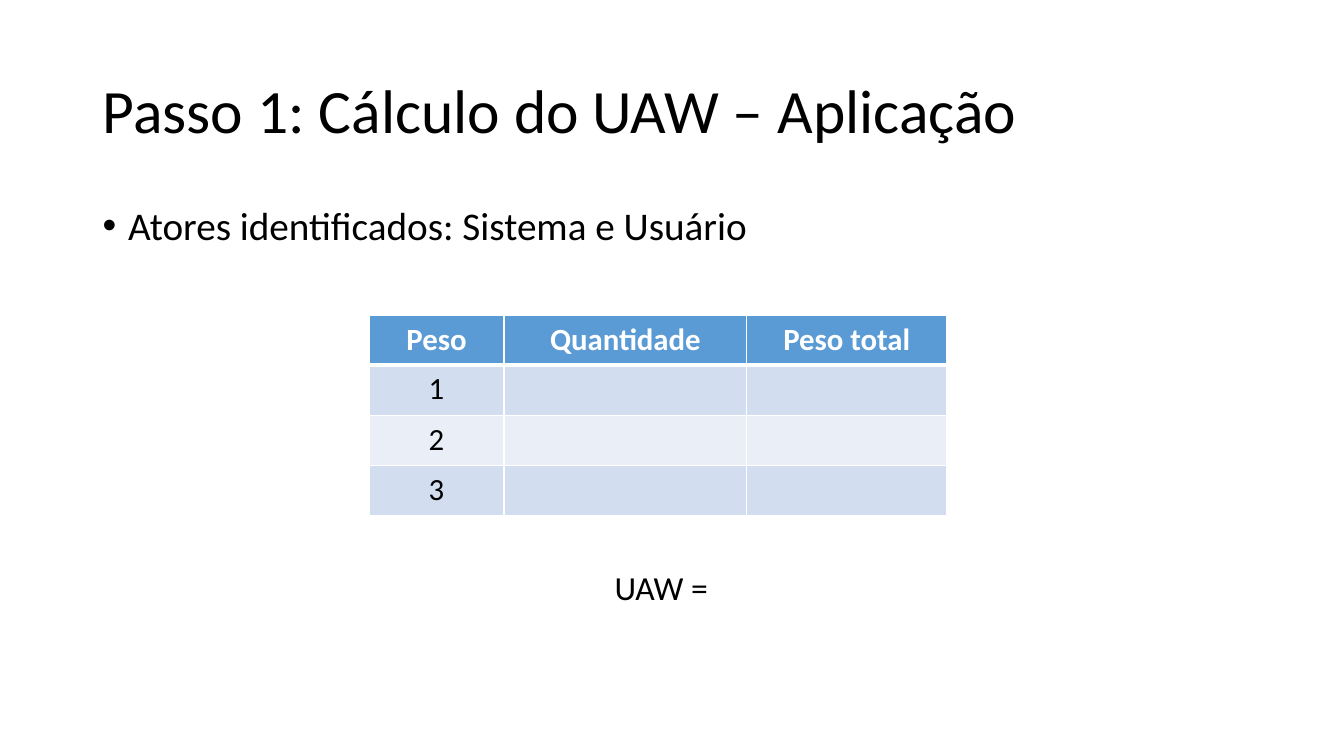
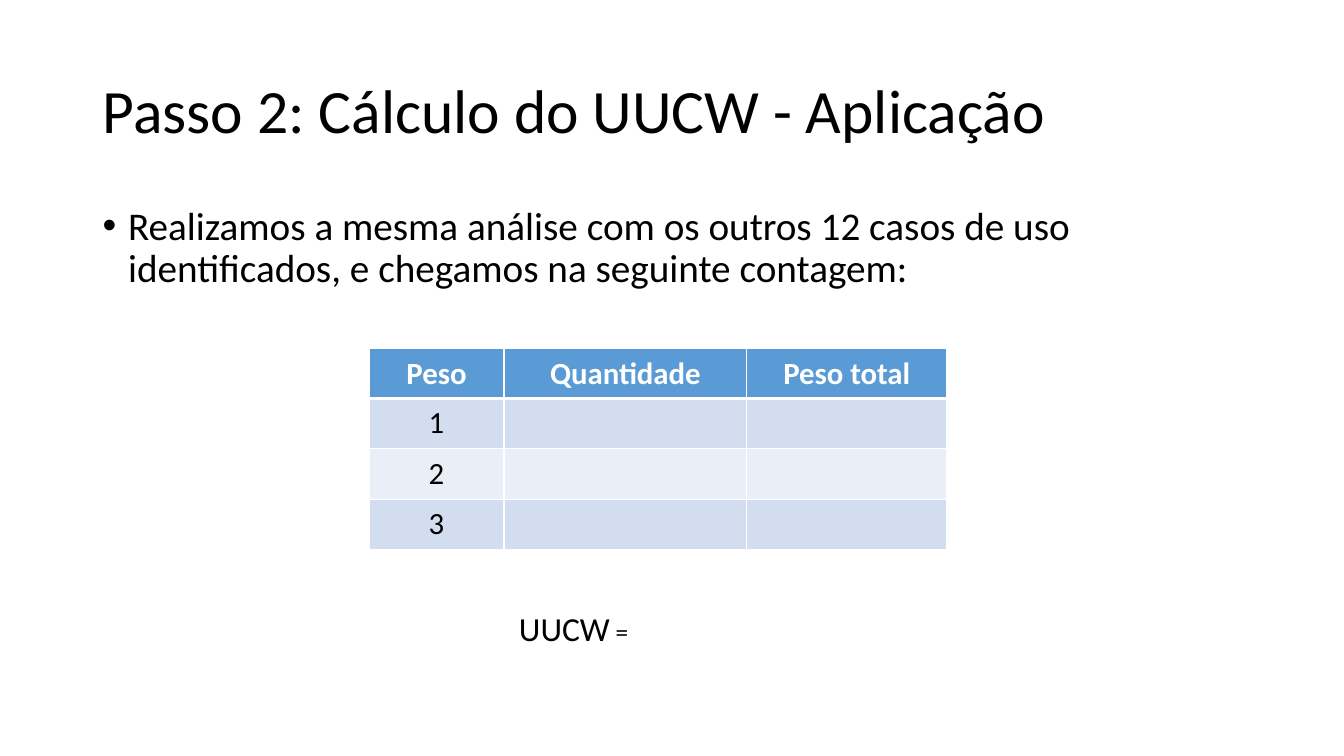
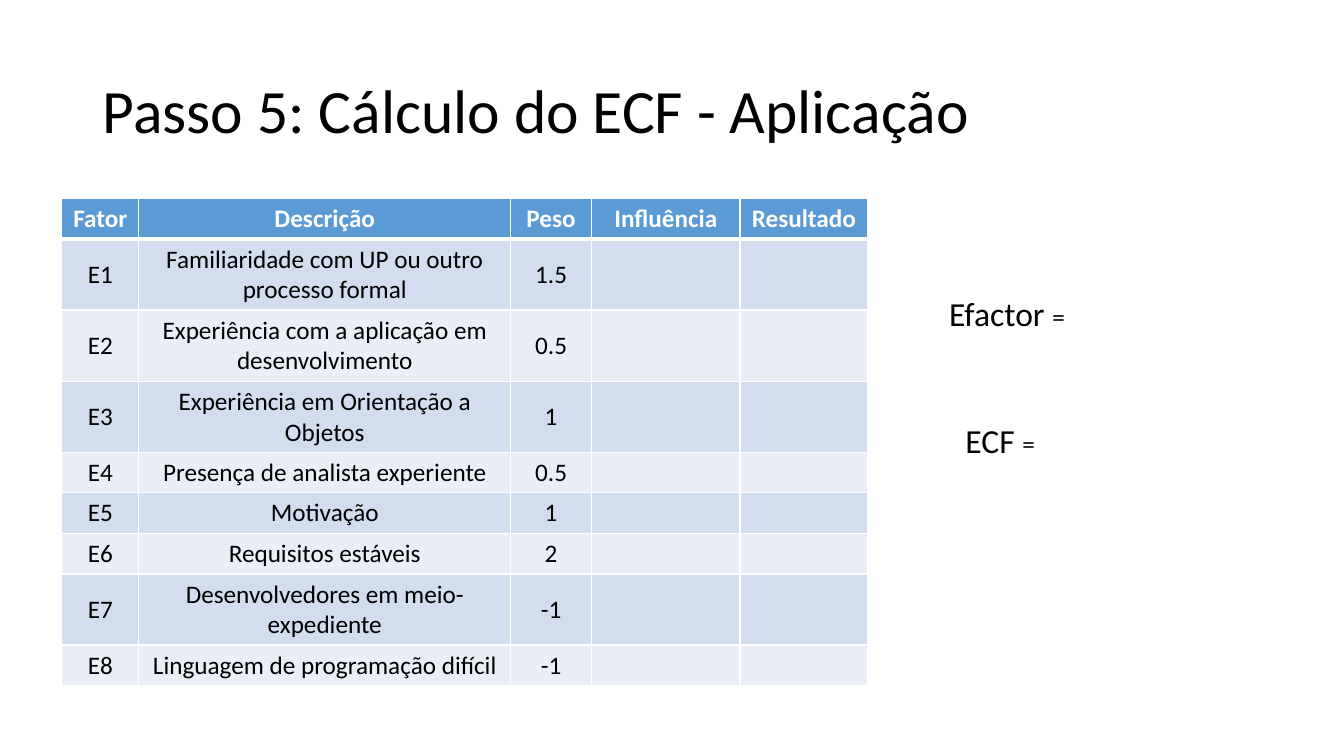
"""Build three slides on use case point estimation."""
import pptx
import pptx.dml.color
import pptx.enum.text
import pptx.oxml
import pptx.oxml.ns
import pptx.util
from pptx.util import Cm

FONT = "Calibri"
COLOURS = {
    "text": "000000",
    "white": "FFFFFF",
    "header": "5B9BD5",
    "band_dark": "D2DEEF",
    "band_light": "EAEFF7",
}
ALIGN = pptx.enum.text.PP_ALIGN
ANCHOR = pptx.enum.text.MSO_ANCHOR

LEFT, CONTENT_WIDTH = 2.34, 29.21
WEIGHT_TABLE = {
    "left": 9.3,
    "widths": [3.4, 6.12, 5.04],
    "heights": [1.25, 1.27, 1.27, 1.27],
    "size": 22,
    "margins": (0.3, 0.15),
    "body_anchor": ANCHOR.TOP,
}
WEIGHT_ROWS = [
    ["Peso", "Quantidade", "Peso total"],
    ["1", "", ""],
    ["2", "", ""],
    ["3", "", ""],
]
ONE_LINE, TWO_LINES = 1.02, 1.79
FACTOR_TABLE = {
    "left": 1.56,
    "widths": [1.94, 9.37, 2.04, 3.74, 3.22],
    "heights": [ONE_LINE] + [TWO_LINES] * 3 + [ONE_LINE] * 3
    + [TWO_LINES, ONE_LINE],
    "size": 18,
    "margins": (0.25, 0.13),
    "body_anchor": ANCHOR.MIDDLE,
}
FACTORS = [
    ("Familiaridade com UP ou outro processo formal", "1.5"),
    ("Experiência com a aplicação em desenvolvimento", "0.5"),
    ("Experiência em Orientação a Objetos", "1"),
    ("Presença de analista experiente", "0.5"),
    ("Motivação", "1"),
    ("Requisitos estáveis", "2"),
    ("Desenvolvedores em meio-expediente", "-1"),
    ("Linguagem de programação difícil", "-1"),
]


def apply_format(target, values):
    """Set each named attribute of the target."""
    for name, value in values.items():
        setattr(target, name, value)


def rgb(name):
    """Return the palette colour with this name."""
    return pptx.dml.color.RGBColor.from_string(COLOURS[name])


def add_run(paragraph, text, size, colour="text", bold=False):
    """Add formatted text to a paragraph."""
    run = paragraph.add_run()
    run.text = text
    apply_format(run.font, {"name": FONT, "size": pptx.util.Pt(size), "bold": bold})
    run.font.color.rgb = rgb(colour)


def add_text(slide, box, runs, frame_format=None, paragraph_format=None):
    """Add a text box of (text, size) runs and return its paragraph."""
    frame = slide.shapes.add_textbox(*map(Cm, box)).text_frame
    apply_format(frame, {"word_wrap": True, **(frame_format or {})})
    paragraph = frame.paragraphs[0]
    apply_format(paragraph, paragraph_format or {})
    for text, size in runs:
        add_run(paragraph, text, size)
    return paragraph


def add_title(slide, text):
    """Add the slide title."""
    add_text(slide, (LEFT, 1.02, CONTENT_WIDTH, 3.68), [(text, 44)],
             {"vertical_anchor": ANCHOR.MIDDLE}, {"line_spacing": 0.9})


def add_bullet(slide, text, alignment=ALIGN.LEFT):
    """Add a bulleted statement below the title."""
    paragraph = add_text(
        slide, (LEFT, 5.08, CONTENT_WIDTH, 2.8), [(text, 28)],
        paragraph_format={"line_spacing": 0.9, "alignment": alignment,
                          "space_before": pptx.util.Pt(10)})
    properties = paragraph._p.get_or_add_pPr()
    properties.set("marL", str(Cm(0.64)))
    properties.set("indent", str(Cm(-0.64)))
    namespace = pptx.oxml.ns.nsdecls("a")
    for markup in ('buFont %s typeface="Arial"', 'buChar %s char="•"'):
        properties.append(pptx.oxml.parse_xml("<a:" + markup % namespace + "/>"))


def add_formula(slide, left, top, width, *runs):
    """Add a formula label left open for its result."""
    add_text(slide, (left, top, width, 1.27), runs)


def set_borders(cell, row_index):
    """Draw white cell borders, thicker below the header."""
    widths = {"L": 1, "R": 1, "T": 3 if row_index == 1 else 1,
              "B": 3 if row_index == 0 else 1}
    properties = cell._tc.get_or_add_tcPr()
    for position, (side, width) in enumerate(widths.items()):
        border = pptx.oxml.parse_xml(
            f'<a:ln{side} {pptx.oxml.ns.nsdecls("a")} w="{pptx.util.Pt(width)}">'
            f'<a:solidFill><a:srgbClr val="{COLOURS["white"]}"/></a:solidFill>'
            f'</a:ln{side}>')
        properties.insert(position, border)


def fill_cell(cell, text, row_index, layout):
    """Write and format one table cell."""
    is_header = row_index == 0
    band = "band_dark" if row_index % 2 else "band_light"
    horizontal, vertical = map(Cm, layout["margins"])
    apply_format(cell, {
        "margin_left": horizontal, "margin_right": horizontal,
        "margin_top": vertical, "margin_bottom": vertical,
        "vertical_anchor": ANCHOR.TOP if is_header else layout["body_anchor"],
    })
    cell.fill.solid()
    cell.fill.fore_color.rgb = rgb("header" if is_header else band)
    set_borders(cell, row_index)
    paragraph = cell.text_frame.paragraphs[0]
    paragraph.alignment = ALIGN.CENTER
    if text:
        add_run(paragraph, text, layout["size"],
                "white" if is_header else "text", is_header)


def add_banded_table(slide, top, rows, layout):
    """Add a table with a header row and banded body rows."""
    widths, heights = layout["widths"], layout["heights"]
    box = (layout["left"], top, sum(widths), sum(heights))
    table = slide.shapes.add_table(len(rows), len(widths), *map(Cm, box)).table
    for column, width in zip(table.columns, widths):
        column.width = Cm(width)
    for row_index, (values, height) in enumerate(zip(rows, heights)):
        table.rows[row_index].height = Cm(height)
        for column_index, text in enumerate(values):
            fill_cell(table.cell(row_index, column_index), text, row_index, layout)


def add_titled_slide(presentation, title):
    """Add a blank slide with a title."""
    slide = presentation.slides.add_slide(presentation.slide_layouts[6])
    add_title(slide, title)
    return slide


def main():
    """Build and save the presentation."""
    presentation = pptx.Presentation()
    apply_format(presentation, {"slide_width": Cm(33.87), "slide_height": Cm(19.05)})

    slide = add_titled_slide(presentation, "Passo 1: Cálculo do UAW – Aplicação")
    add_bullet(slide, "Atores identificados: Sistema e Usuário", ALIGN.JUSTIFY)
    add_banded_table(slide, 7.94, WEIGHT_ROWS, WEIGHT_TABLE)
    add_formula(slide, 15.24, 14.15, 4.19, ("UAW = ", 24))

    slide = add_titled_slide(presentation, "Passo 2: Cálculo do UUCW - Aplicação")
    add_bullet(slide, "Realizamos a mesma análise com os outros 12 casos de uso "
                      "identificados, e chegamos na seguinte contagem:")
    add_banded_table(slide, 8.79, WEIGHT_ROWS, WEIGHT_TABLE)
    add_formula(slide, 12.83, 15.19, 3.43, ("UUCW", 24), (" = ", 18))

    slide = add_titled_slide(presentation, "Passo 5: Cálculo do ECF - Aplicação")
    add_formula(slide, 23.67, 7.26, 3.61, ("Efactor ", 24), ("= ", 18))
    add_formula(slide, 24.08, 10.46, 2.44, ("ECF ", 24), ("= ", 18))
    factor_rows = [["Fator", "Descrição", "Peso", "Influência", "Resultado"]]
    for number, (description, weight) in enumerate(FACTORS, start=1):
        factor_rows.append([f"E{number}", description, weight, "", ""])
    add_banded_table(slide, 5.0, factor_rows, FACTOR_TABLE)

    presentation.save("out.pptx")


main()
